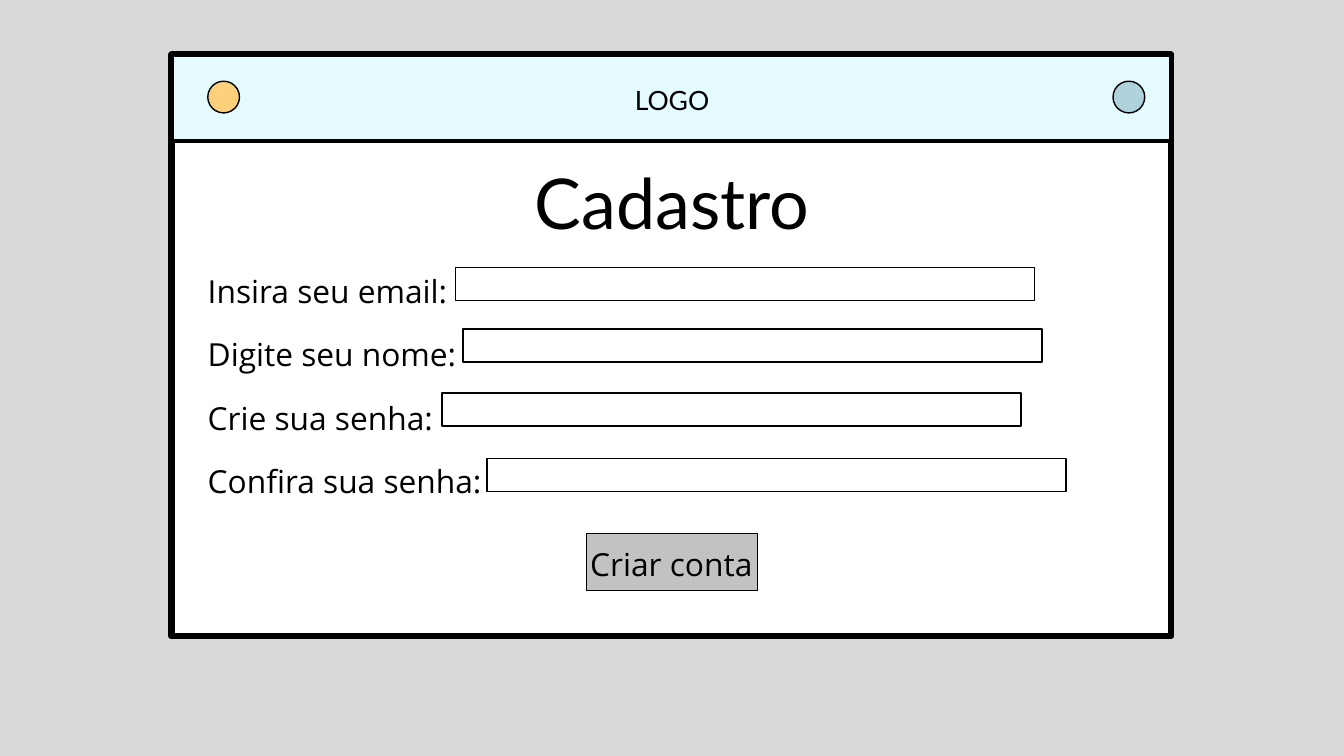
from dataclasses import dataclass
from typing import Optional

from pptx import Presentation
from pptx import util as u
from pptx.dml.color import RGBColor
from pptx.enum import shapes, text

BLACK = RGBColor(0x00, 0x00, 0x00)
WHITE = RGBColor(0xFF, 0xFF, 0xFF)
GREY = RGBColor(0xD9, 0xD9, 0xD9)
ICE = RGBColor(0xE4, 0xFB, 0xFF)
AMBER = RGBColor(0xFF, 0xD0, 0x7B)
BLUE = RGBColor(0xB0, 0xD2, 0xDD)
BUTTON = RGBColor(0xC2, 0xC3, 0xC1)

RECT = shapes.MSO_SHAPE.RECTANGLE
OVAL = shapes.MSO_SHAPE.OVAL
LEFT, CENTER = text.PP_ALIGN.LEFT, text.PP_ALIGN.CENTER


@dataclass
class Box:
    x: float
    y: float
    w: float
    h: float
    fill: Optional[RGBColor] = None
    line: float = 1.5
    kind: shapes.MSO_SHAPE = RECT


@dataclass
class Label:
    x: float
    y: float
    w: float
    h: float
    lines: list[str]
    font: str
    size: float
    spacing: float
    align: text.PP_ALIGN = CENTER


@dataclass
class Field:
    label: str
    x: float
    y: float


FIELDS = [
    Field("Insira seu email:", 488.3, 286.4),
    Field("Digite seu nome:", 496.2, 352.3),
    Field("Crie sua senha:", 473.6, 421.1),
    Field("Confira sua senha:", 521.8, 491),
]
FIELD_W, FIELD_H = 620.4, 35.4


def draw_box(s, box: Box) -> None:
    sp = s.shapes.add_shape(box.kind, *map(u.Pt, (box.x, box.y, box.w, box.h)))
    sp.shadow.inherit = False
    if box.fill is None:
        sp.fill.background()
    else:
        sp.fill.solid()
        sp.fill.fore_color.rgb = box.fill
    sp.line.color.rgb = BLACK
    sp.line.width = u.Pt(box.line)


def draw_label(s, label: Label) -> None:
    sp = s.shapes.add_textbox(*map(u.Pt, (label.x, label.y, label.w, label.h)))
    tf = sp.text_frame
    frame = {"margin_left": 0, "margin_top": 0, "margin_right": 0, "margin_bottom": 0,
             "word_wrap": True, "auto_size": text.MSO_AUTO_SIZE.SHAPE_TO_FIT_TEXT}
    for name, value in frame.items():
        setattr(tf, name, value)
    for i, line in enumerate(label.lines):
        p = tf.add_paragraph() if i else tf.paragraphs[0]
        p.alignment = label.align
        p.line_spacing = u.Pt(label.spacing)
        r = p.add_run()
        r.text = line
        for name, value in {"name": label.font, "size": u.Pt(label.size)}.items():
            setattr(r.font, name, value)
        r.font.color.rgb = BLACK


def main() -> None:
    prs = Presentation()
    prs.slide_width, prs.slide_height = u.Pt(1440), u.Pt(810)
    s = prs.slides.add_slide(prs.slide_layouts[6])
    s.background.fill.solid()
    s.background.fill.fore_color.rgb = GREY

    # Window frame and header bar with its two round buttons
    draw_box(s, Box(183.8, 58.3, 1070.8, 623.5, WHITE, 6.75))
    draw_box(s, Box(184.5, 58.3, 1070.8, 92.9, ICE, 4.5))
    for x, fill in ((222.6, AMBER), (1192.5, BLUE)):
        draw_box(s, Box(x, 87, 34, 34, fill, kind=OVAL))

    # Header and page title
    draw_label(s, Label(675.5, 84.2, 89.3, 37.4, ["LOGO"], "Lato", 28.4, 39.7))
    draw_label(s, Label(271.4, 155.5, 897.1, 100.8, ["Cadastro"], "Lato", 75, 104.9))

    # Form labels and input fields
    draw_label(s, Label(222.6, 263.5, 342.7, 262.8, [f.label for f in FIELDS],
                        "Open Sans", 34, 68, LEFT))
    for field in FIELDS:
        draw_box(s, Box(field.x, field.y, FIELD_W, FIELD_H))

    # Submit button
    draw_box(s, Box(628.6, 571.7, 182.9, 61.2, BUTTON))
    draw_label(s, Label(632.2, 576.7, 174.2, 45.4, ["Criar conta"], "Open Sans", 34, 47.6))

    prs.save("out.pptx")


if __name__ == "__main__":
    main()
